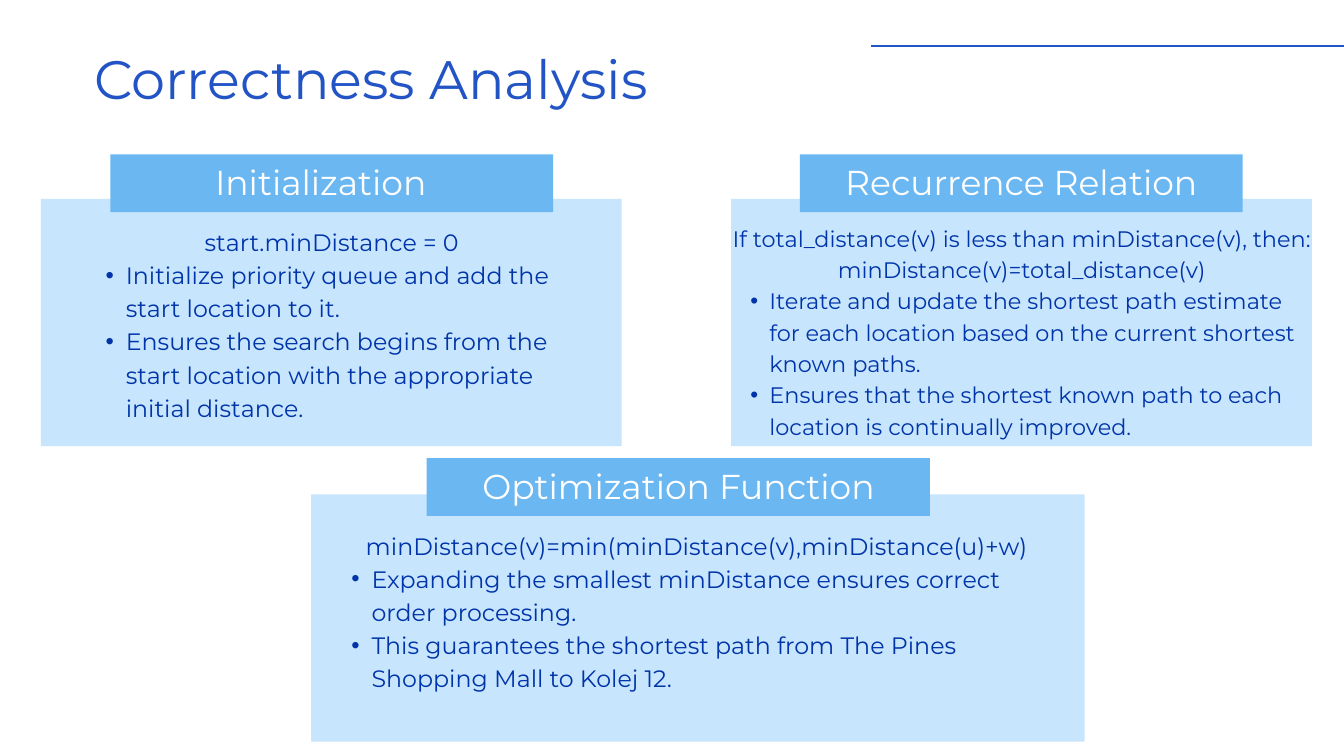
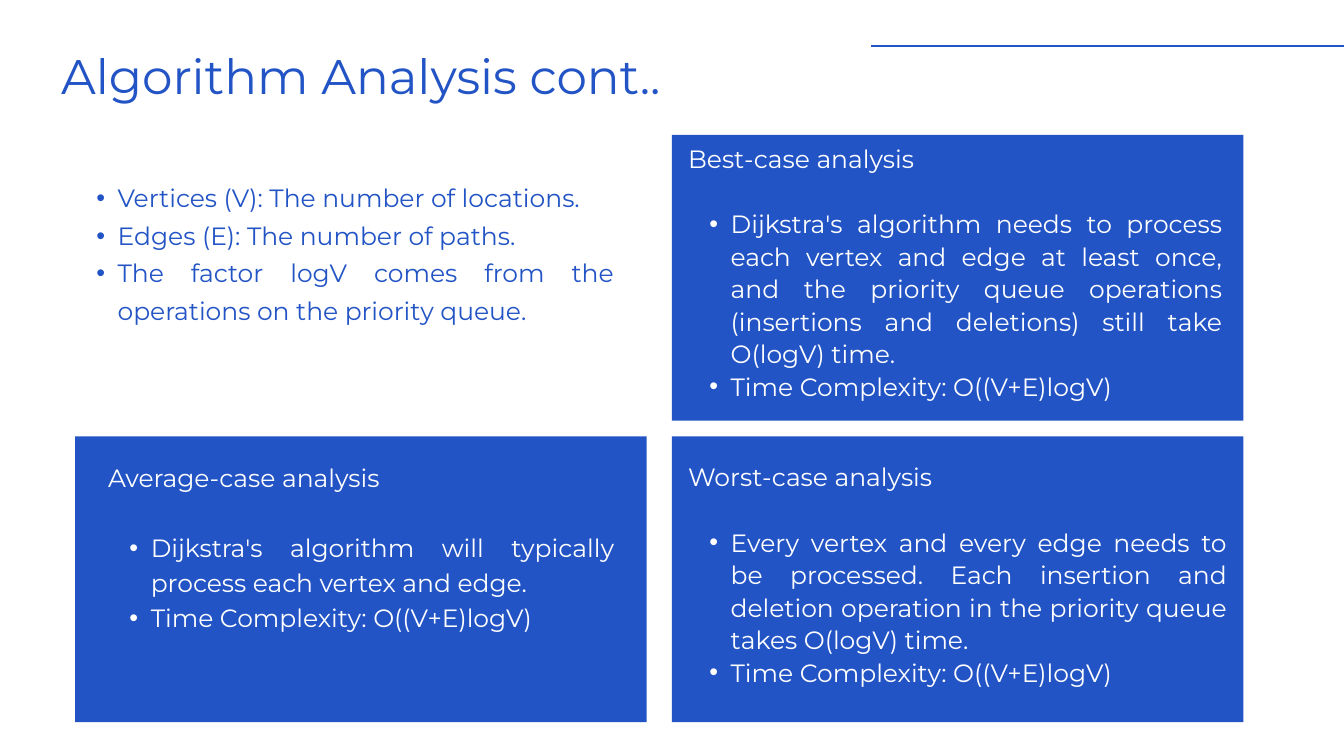
import pptx
import pptx.util
import pptx.dml.color
import pptx.enum.shapes
import pptx.enum.text
import pptx.oxml.ns
import lxml.etree

Cm, Pt = pptx.util.Cm, pptx.util.Pt
Align = pptx.enum.text.PP_ALIGN
Shape = pptx.enum.shapes.MSO_SHAPE
qn = pptx.oxml.ns.qn

BLUE, NAVY, SKY, PALE, WHITE = "2254C5", "0034A8", "6BB7F1", "C7E5FD", "FFFFFF"
FONT = "Montserrat"
COST = "Time Complexity: O((V+E)logV)"


def color(code):
    return pptx.dml.color.RGBColor.from_string(code)


def place(item, box):
    item.left, item.top, item.width, item.height = map(Cm, box)


class Deck:
    def __init__(self):
        self.file = pptx.Presentation()
        self.file.slide_width, self.file.slide_height = Cm(50.8), Cm(28.58)

    def start(self, title, box, size, lead, align):
        """Add a slide with the shared rule and its title."""
        self.slide = self.file.slides.add_slide(self.file.slide_layouts[4])
        self.shapes = self.slide.shapes
        self.free = list(self.slide.placeholders)[1:]
        self.rule()
        head = self.shapes.title
        place(head, box)
        self.fill_text(head, [title], size, BLUE, lead, align)

    def rule(self):
        line = self.shapes.add_connector(
            pptx.enum.shapes.MSO_CONNECTOR.STRAIGHT,
            Cm(32.92), Cm(1.75), Cm(50.8), Cm(1.75))
        line.line.color.rgb = color(BLUE)
        line.line.width = Pt(2.25)
        lxml.etree.SubElement(line._element.spPr, qn("a:effectLst"))

    def panel(self, box, fill):
        rect = self.shapes.add_shape(Shape.RECTANGLE, *map(Cm, box))
        rect.shadow.inherit = False
        rect.fill.solid()
        rect.fill.fore_color.rgb = color(fill)
        rect.line.fill.background()

    def label(self, text, box):
        self.fill_text(self.shapes.add_textbox(*map(Cm, box)), [text],
                       37, WHITE, 1.4, Align.CENTER)

    def bullets(self, box, head, items, size, ink, lead,
                align=Align.LEFT, top=Align.LEFT, gap=0):
        """Fill the next body placeholder: a head line, then bullets."""
        body = self.free.pop(0)
        self.shapes._spTree.append(body._element)  # in front of the panels
        place(body, box)
        lines = [head] if head else []
        self.fill_text(body, lines + items, size, ink, lead, align)
        paras = body.text_frame.paragraphs
        if head:
            paras[0].alignment = top
        for para in paras[len(lines):]:
            self.mark(para, size)
        paras[len(lines)].space_before = Pt(gap * lead * size)

    def mark(self, para, size):
        props = para._p.get_or_add_pPr()
        props.set("marL", str(Cm(size * 0.06)))
        props.set("indent", str(-Cm(size * 0.03)))
        sign = lxml.etree.Element(qn("a:buChar"), char="•")
        props.replace(props.find(qn("a:buNone")), sign)
        sign.addprevious(lxml.etree.Element(qn("a:buFont"), typeface="Arial"))

    def fill_text(self, item, lines, size, ink, lead, align):
        frame = item.text_frame
        frame.word_wrap = True
        frame.auto_size = pptx.enum.text.MSO_AUTO_SIZE.NONE
        frame.vertical_anchor = pptx.enum.text.MSO_ANCHOR.TOP
        frame.margin_left = frame.margin_right = 0
        frame.margin_top = frame.margin_bottom = 0
        frame.text = "\n".join(lines)
        for para in frame.paragraphs:
            props = para._p.get_or_add_pPr()
            props.set("marL", "0")
            props.set("indent", "0")
            lxml.etree.SubElement(props, qn("a:buNone"))
            para.alignment = align
            para.line_spacing = Pt(lead * size)
            para.space_before = para.space_after = Pt(0)
            font = para.font
            font.name, font.size, font.bold = FONT, Pt(size), False
            font.color.rgb = color(ink)

    def finish(self):
        """Drop the placeholders left empty."""
        for body in self.free:
            body._element.getparent().remove(body._element)


def correct(deck):
    deck.start("Correctness Analysis", (1.68, 1.32, 24.69, 2.77),
               58, 1.4, Align.CENTER)

    # Panel, tab, label and list boxes, then size, name, head and bullets
    cards = [
        ((1.55, 7.52, 21.95, 9.35), (4.17, 5.84, 16.74, 2.18),
         (7.87, 5.84, 8.51, 1.75), (3.23, 8.43, 18.62, 7.42), 25.4,
         "Initialization", "start.minDistance = 0",
         ["Initialize priority queue and add the start location to it.",
          "Ensures the search begins from the start location with the "
          "appropriate initial distance."]),
        ((27.64, 7.52, 21.95, 9.35), (30.23, 5.84, 16.74, 2.18),
         (31.62, 5.84, 13.97, 1.75), (27.64, 8.33, 21.95, 8.08), 24,
         "Recurrence Relation",
         "If total_distance(v) is less than minDistance(v), then: "
         "minDistance(v)=total_distance(v)",
         ["Iterate and update the shortest path estimate for each location "
          "based on the current shortest known paths.",
          "Ensures that the shortest known path to each location is "
          "continually improved."]),
        ((11.76, 18.69, 29.24, 9.35), (16.13, 17.32, 19.02, 2.18),
         (17.93, 17.32, 15.44, 1.75), (12.52, 19.91, 27.64, 7.42), 25.4,
         "Optimization Function",
         "minDistance(v)=min(minDistance(v),minDistance(u)+w)",
         ["Expanding the smallest minDistance ensures correct order "
          "processing.",
          "This guarantees the shortest path from The Pines Shopping Mall "
          "to Kolej 12."]),
    ]
    for panel, tab, label, box, size, name, head, items in cards:
        deck.panel(panel, PALE)
        deck.panel(tab, SKY)
        deck.label(name, label)
        deck.bullets(box, head, items, size, NAVY, 1.4, top=Align.CENTER)
    deck.finish()


def cases(deck):
    deck.start("Algorithm Analysis cont..", (2.31, 2.13, 27.79, 1.83),
               52, 0.98, Align.LEFT)

    # Terms
    deck.bullets((2.84, 6.63, 20.37, 6.96), None,
                 ["Vertices (V): The number of locations.",
                  "Edges (E): The number of paths.",
                  "The factor logV comes from the operations on the priority "
                  "queue."],
                 26.8, BLUE, 1.5, Align.JUSTIFY)

    # Panel corner, list box, line spacing, head and first bullet
    cards = [
        ((25.4, 5.1), (26.01, 5.33, 20.19, 9.73), 1.3, "Best-case analysis",
         "Dijkstra's algorithm needs to process each vertex and edge at "
         "least once, and the priority queue operations (insertions and "
         "deletions) still take O(logV) time."),
        ((2.84, 16.5), (4.09, 17.3, 19.13, 7.75), 1.4,
         "Average-case analysis",
         "Dijkstra's algorithm will typically process each vertex and edge."),
        ((25.4, 16.5), (26.01, 17.37, 20.37, 8.51), 1.3,
         "Worst-case analysis",
         "Every vertex and every edge needs to be processed. Each insertion "
         "and deletion operation in the priority queue takes O(logV) time."),
    ]
    for spot, box, lead, head, note in cards:
        deck.panel((*spot, 21.6, 10.8), BLUE)
        deck.bullets(box, head, [note, COST], 26.8, WHITE, lead,
                     Align.JUSTIFY, Align.JUSTIFY, gap=1)
    deck.finish()


def main():
    deck = Deck()
    correct(deck)
    cases(deck)
    deck.file.save("out.pptx")


if __name__ == "__main__":
    main()
